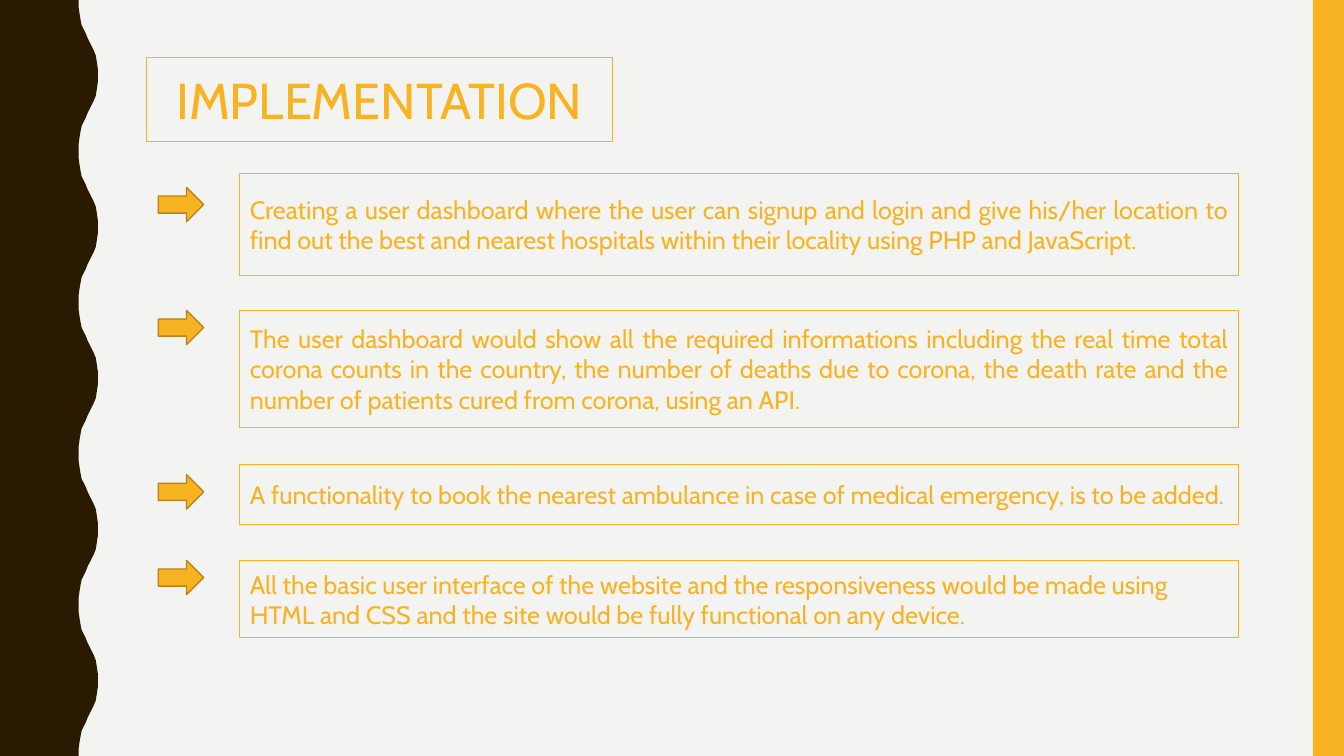
from dataclasses import dataclass

from pptx import Presentation
from pptx.dml.color import RGBColor
from pptx.enum.shapes import MSO_SHAPE
from pptx.enum.text import MSO_ANCHOR, PP_ALIGN
from pptx.util import Inches, Pt


@dataclass(frozen=True)
class Theme:
    background: RGBColor = RGBColor.from_string("F3F3F2")
    wave: RGBColor = RGBColor.from_string("2A1A00")
    accent: RGBColor = RGBColor.from_string("F8B323")
    arrow_line: RGBColor = RGBColor.from_string("B7841A")
    font: str = "Cabin"
    title_size: int = 36
    body_size: int = 18
    frame_width: float = 0.75
    arrow_width: float = 1


THEME = Theme()
SLIDE_WIDTH, SLIDE_HEIGHT = 13.33, 7.5
WAVE_PERIOD = 1.5
HALF_WAVE = [
    (0.78, 0), (0.78, 0.07), (0.79, 0.14), (0.8, 0.2), (0.81, 0.25),
    (0.83, 0.29), (0.85, 0.33), (0.87, 0.38), (0.89, 0.42), (0.91, 0.46),
    (0.93, 0.5), (0.95, 0.55), (0.96, 0.61), (0.97, 0.68), (0.97, 0.75),
]
STEPS = [
    (1.72, 1.01, 0.14, PP_ALIGN.JUSTIFY,
     "Creating a user dashboard where the user can signup and login and give his/her "
     "location to find out the best and nearest hospitals within their locality using "
     "PHP and JavaScript."),
    (3.08, 1.16, 0, PP_ALIGN.JUSTIFY,
     "The user dashboard would show all the required informations including the real "
     "time total corona counts in the country, the number of deaths due to corona, the "
     "death rate and the number of patients cured from corona, using an API."),
    (4.61, 0.59, 0.1, PP_ALIGN.LEFT,
     "A functionality to book the nearest ambulance in case of medical emergency, is to "
     "be added."),
    (5.56, 0.77, 0, PP_ALIGN.LEFT,
     "All the basic user interface of the website and the responsiveness would be made "
     "using HTML and CSS and the site would be fully functional on any device."),
]


def paint(shape, fill=None, line=None, line_width=0):
    shape.shadow.inherit = False
    if fill is None:
        shape.fill.background()
    else:
        shape.fill.solid()
        shape.fill.fore_color.rgb = fill
    if line is None:
        shape.line.fill.background()
    else:
        shape.line.color.rgb = line
        shape.line.width = Pt(line_width)


def add_preset(slide, preset, left, top, width, height):
    return slide.shapes.add_shape(
        preset, Inches(left), Inches(top), Inches(width), Inches(height))


def add_wave_edge(slide, left, top, height):
    mirrored = [(x, WAVE_PERIOD - y) for x, y in reversed(HALF_WAVE[:-1])]
    period = HALF_WAVE + mirrored
    outline = [
        (left + x, top + index * WAVE_PERIOD + y)
        for index in range(round(height / WAVE_PERIOD))
        for x, y in period
    ]
    outline.append((left, top + height))
    builder = slide.shapes.build_freeform(Inches(left), Inches(top))
    builder.add_line_segments([(Inches(x), Inches(y)) for x, y in outline], close=True)
    paint(builder.convert_to_shape(), THEME.wave)


def add_side_bar(slide, left, top, width, height):
    paint(add_preset(slide, MSO_SHAPE.RECTANGLE, left, top, width, height), THEME.accent)


def add_framed_text(slide, left, top, width, height, text, size, alignment):
    shape = add_preset(slide, MSO_SHAPE.RECTANGLE, left, top, width, height)
    paint(shape, line=THEME.accent, line_width=THEME.frame_width)
    frame = shape.text_frame
    frame.word_wrap = True
    frame.vertical_anchor = MSO_ANCHOR.MIDDLE
    paragraph = frame.paragraphs[0]
    paragraph.text = text
    paragraph.alignment = alignment
    paragraph.font.name = THEME.font
    paragraph.font.size = Pt(size)
    paragraph.font.color.rgb = THEME.accent


def add_step(slide, left, top, width, height, arrow_drop, alignment, text):
    arrow = add_preset(slide, MSO_SHAPE.RIGHT_ARROW, left, top + arrow_drop, 0.45, 0.34)
    paint(arrow, THEME.accent, THEME.arrow_line, THEME.arrow_width)
    indent = 0.81
    add_framed_text(slide, left + indent, top, width - indent, height,
                    text, THEME.body_size, alignment)


def add_implementation_slide(presentation):
    slide = presentation.slides.add_slide(presentation.slide_layouts[6])
    slide.background.fill.solid()
    slide.background.fill.fore_color.rgb = THEME.background
    add_wave_edge(slide, 0, 0, SLIDE_HEIGHT)
    add_side_bar(slide, 13.02, 0, 0.31, SLIDE_HEIGHT)
    add_framed_text(slide, 1.45, 0.57, 4.63, 0.83,
                    "IMPLEMENTATION", THEME.title_size, PP_ALIGN.CENTER)
    for top, height, arrow_drop, alignment, text in STEPS:
        add_step(slide, 1.57, top, 10.71, height, arrow_drop, alignment, text)


def main():
    presentation = Presentation()
    presentation.slide_width = Inches(SLIDE_WIDTH)
    presentation.slide_height = Inches(SLIDE_HEIGHT)
    add_implementation_slide(presentation)
    presentation.save("out.pptx")


if __name__ == "__main__":
    main()
